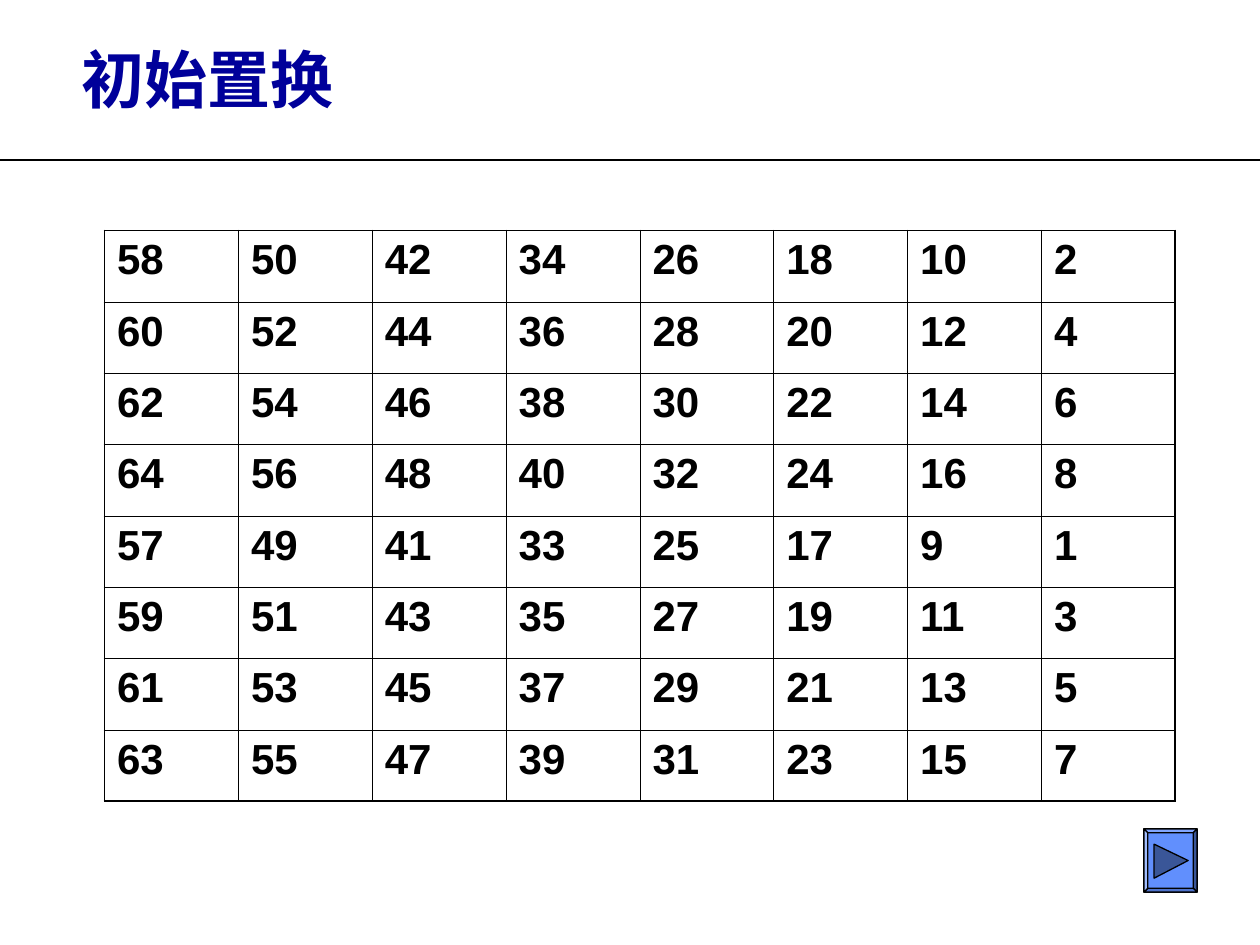
import pptx
import pptx.util
import pptx.dml.color
import pptx.enum.shapes
import pptx.enum.text
import pptx.oxml
import pptx.oxml.ns
from pptx.util import Inches

COLORS = {
    "ink": "000000", "title": "00009A", "face": "618FFD", "top": "81A5FD",
    "right": "3A5698", "bottom": "4E72CA", "left": "A0BCFE", "arrow": "3A5698",
}


def rgb(name):
    return pptx.dml.color.RGBColor.from_string(COLORS[name])


def add_border(cell, side, points):
    tc_pr = cell._tc.get_or_add_tcPr()
    tc_pr.append(pptx.oxml.parse_xml(
        f'<a:ln{side} {pptx.oxml.ns.nsdecls("a")} w="{int(pptx.util.Pt(points))}">'
        f'<a:solidFill><a:srgbClr val="{COLORS["ink"]}"/></a:solidFill></a:ln{side}>'))


prs = pptx.Presentation()
prs.slide_width, prs.slide_height = Inches(10), Inches(7.5)
s = prs.slides.add_slide(prs.slide_layouts[5])

# Rule under the title
rule = s.shapes.add_connector(pptx.enum.shapes.MSO_CONNECTOR.STRAIGHT,
                              Inches(10), Inches(1.27), Inches(0), Inches(1.27))
rule.line.color.rgb = rgb("ink")
rule.line.width = pptx.util.Pt(1.5)
rule._element.spPr.append(pptx.oxml.parse_xml(
    f'<a:effectLst {pptx.oxml.ns.nsdecls("a")}/>'))

# Title
title = s.shapes.title
title.left, title.top, title.width, title.height = (
    Inches(0.4), Inches(0), Inches(9.6), Inches(1.25))
tf = title.text_frame
tf.text = "初始置换"
tf.word_wrap = True
tf.auto_size = pptx.enum.text.MSO_AUTO_SIZE.NONE
tf.vertical_anchor = pptx.enum.text.MSO_ANCHOR.MIDDLE
tf.margin_left = tf.margin_right = Inches(0.25)
tf.margin_top = tf.margin_bottom = Inches(0.1)
p = tf.paragraphs[0]
p.alignment = pptx.enum.text.PP_ALIGN.LEFT
p_pr = p._p.get_or_add_pPr()
p_pr.set("marL", str(int(Inches(0.37))))
p_pr.set("indent", str(int(Inches(-0.37))))
p.font.name = "Karla"
p.font.size = pptx.util.Pt(36)
p.font.bold = True
p.font.color.rgb = rgb("title")

# Initial permutation: each row starts at its own bit and steps down by 8
row_starts = [58, 60, 62, 64, 57, 59, 61, 63]
n = len(row_starts)
table = s.shapes.add_table(n, n, Inches(0.83), Inches(1.83),
                           Inches(8.5), Inches(4.53)).table
table.first_row = table.horz_banding = False
for row, start in enumerate(row_starts):
    for col in range(n):
        cell = table.cell(row, col)
        cell.text = str(start - 8 * col)
        p = cell.text_frame.paragraphs[0]
        p.font.name = "Arial"
        p.font.size = pptx.util.Pt(24)
        p.font.bold = True
        p.font.color.rgb = rgb("ink")
        outer = {"L": col == 0, "R": col == n - 1, "T": row == 0, "B": row == n - 1}
        for side, on_edge in outer.items():
            add_border(cell, side, 1.08 if on_edge else 0.45)
        cell.fill.background()

# Bevelled "next" button
x1, y1, x2, y2 = 9.08, 6.58, 9.5, 7.08
bevel = 0.03
u1, v1, u2, v2 = x1 + bevel, y1 + bevel, x2 - bevel, y2 - bevel
button_parts = {
    "face": [(x1, y1), (x2, y1), (x2, y2), (x1, y2)],
    "top": [(x1, y1), (x2, y1), (u2, v1), (u1, v1)],
    "right": [(x2, y1), (x2, y2), (u2, v2), (u2, v1)],
    "bottom": [(x2, y2), (x1, y2), (u1, v2), (u2, v2)],
    "left": [(x1, y2), (x1, y1), (u1, v1), (u1, v2)],
    "arrow": [(9.16, 6.7), (9.43, 6.83), (9.16, 6.97)],
}
for name, corners in button_parts.items():
    points = [(Inches(x), Inches(y)) for x, y in corners]
    builder = s.shapes.build_freeform(*points[0])
    builder.add_line_segments(points[1:], close=True)
    sp = builder.convert_to_shape()
    sp.shadow.inherit = False
    sp.fill.solid()
    sp.fill.fore_color.rgb = rgb(name)
    sp.line.color.rgb = rgb("ink")
    sp.line.width = pptx.util.Pt(0.75)

prs.save("out.pptx")
